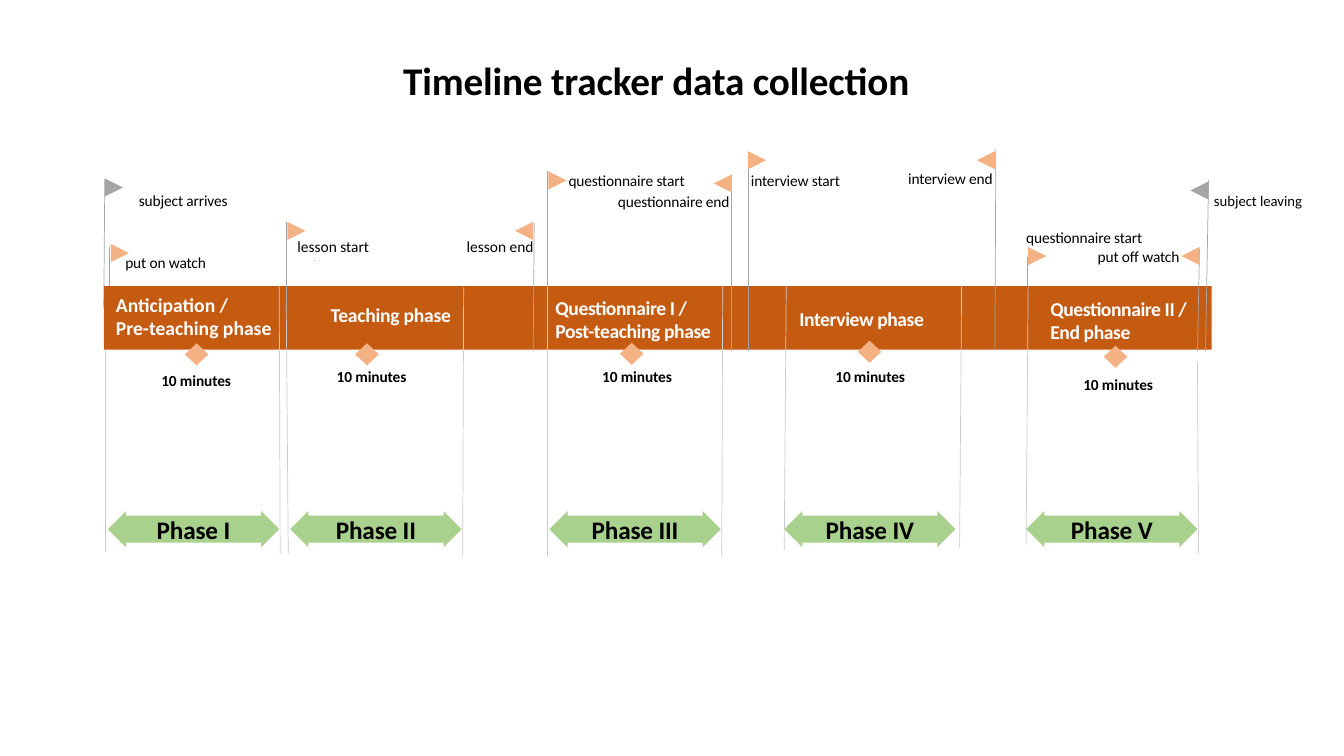
"""Build a one-slide timeline of a data collection in five phases."""
from lxml import etree
from pptx import Presentation
from pptx.dml.color import RGBColor
from pptx.enum.shapes import MSO_CONNECTOR, MSO_SHAPE
from pptx.enum.text import MSO_ANCHOR, MSO_AUTO_SIZE, PP_ALIGN
from pptx.oxml.ns import qn
from pptx.util import Inches, Pt

LEFT, CENTER = PP_ALIGN.LEFT, PP_ALIGN.CENTER
MIDDLE, NO_AUTOFIT = MSO_ANCHOR.MIDDLE, MSO_AUTO_SIZE.NONE
STRAIGHT = MSO_CONNECTOR.STRAIGHT
BAR, DIAMOND = MSO_SHAPE.RECTANGLE, MSO_SHAPE.DIAMOND
FLAG, SPAN = MSO_SHAPE.FLOWCHART_MERGE, MSO_SHAPE.LEFT_RIGHT_ARROW
RIGHTWARD, LEFTWARD = 270, 90

BLACK = RGBColor(0x00, 0x00, 0x00)
WHITE = RGBColor(0xFF, 0xFF, 0xFF)
RUST = RGBColor(0xC5, 0x5A, 0x11)
PEACH = RGBColor(0xF4, 0xB1, 0x83)
GREEN = RGBColor(0xA9, 0xD1, 0x8E)
GREY = RGBColor(0xA5, 0xA5, 0xA5)
PALE_GREY = RGBColor(0xCC, 0xCC, 0xCC)

COLUMNS, ROWS = 40, 30
LABEL_WIDTH, LABEL_HEIGHT = 3.8, 0.8
HEADING_WIDTH, HEADING_HEIGHT = 6, 2.2
FLAG_SIZE = (0.54, 0.72)
DIAMOND_SIZE = (0.7, 0.88)

BACK_POLES = [
    (3.27, 9.8, 3.27, 12.16), (9.36, 10.32, 9.36, 10.36), (3.12, 7.12, 3.09, 12.2),
]
BACK_GUIDES = [(3.15, 21.92, 3.15, 13.6)]
GUIDES = [
    (8.34, 22, 8.31, 11.36), (8.58, 22, 8.52, 11.96), (13.77, 22.08, 13.8, 11.4),
    (16.29, 22.08, 16.29, 11.36), (21.48, 22.08, 21.51, 11.36),
    (23.34, 21.84, 23.4, 11.36), (28.56, 21.72, 28.62, 11.36),
    (30.54, 21.64, 30.6, 11.36), (35.67, 21.96, 35.64, 14.36),
]
POLES = [
    (8.52, 8.8, 8.52, 12.24), (15.9, 8.84, 15.87, 13.92), (16.29, 6.8, 16.29, 11.36),
    (21.78, 6.96, 21.78, 13.92), (22.26, 6.04, 22.26, 13.92),
    (29.64, 5.88, 29.61, 13.92), (30.57, 10.2, 30.57, 11.36),
    (35.7, 9.88, 35.64, 13.92), (35.97, 7.16, 35.88, 13.92),
]
PHASES = [
    ("Phase I", 3.21, "Anticipation /\nPre-teaching phase", (3.45, 12.54), 0,
     (5.85, 14.06), (5.84, 15.1)),
    ("Phase II", 8.64, "Teaching phase", (9.84, 12.5), -0.2,
     (10.92, 14.06), (11.06, 14.94)),
    ("Phase III", 16.35, "Questionnaire I /\nPost-teaching phase", (16.53, 12.66), -0.3,
     (18.8, 14.04), (18.96, 14.94)),
    ("Phase IV", 23.34, "Interview phase", (23.79, 12.64), -0.3,
     (25.88, 13.96), (25.9, 14.94)),
    ("Phase V", 30.54, "Questionnaire II /\nEnd phase", (31.26, 12.7), -0.3,
     (33.2, 14.16), (33.28, 15.26)),
]
EVENTS = [
    ("subject arrives", (4.13, 7.94), 11, -0.1, (3.12, 7.08), RIGHTWARD, GREY),
    ("put on watch", (3.73, 10.42), 11, -0.1, (3.3, 9.68), RIGHTWARD, PEACH),
    ("lesson start", (8.85, 9.78), 11, 0, (8.55, 8.8), RIGHTWARD, PEACH),
    ("lesson end", (13.89, 9.78), 11, 0, (15.33, 8.8), LEFTWARD, PEACH),
    ("questionnaire start", (16.92, 7.14), 11, -0.1, (16.32, 6.8), RIGHTWARD, PEACH),
    ("questionnaire end", (18.39, 7.98), 11, -0.1, (21.24, 6.92), LEFTWARD, PEACH),
    ("interview start", (22.35, 7.14), 11, -0.1, (22.26, 6), RIGHTWARD, PEACH),
    ("interview end", (27.03, 7.06), 11, -0.1, (29.07, 6), LEFTWARD, PEACH),
    ("questionnaire start", (30.54, 9.42), 11, -0.1, (30.6, 9.8), RIGHTWARD, PEACH),
    ("put off watch", (32.67, 10.18), 11, -0.1, (35.16, 9.8), LEFTWARD, PEACH),
    ("subject leaving", (36.13, 7.96), 10.5, 0, (35.43, 7.2), LEFTWARD, GREY),
]


class TimelineSlide:
    """Hold the style and the current slide, with lengths in columns and rows."""

    font_name = "Calibri"

    def __init__(self, presentation):
        self.slide = presentation.slides.add_slide(presentation.slide_layouts[5])
        self.shapes = self.slide.shapes
        self.column = presentation.slide_width / COLUMNS
        self.row = presentation.slide_height / ROWS

    def place(self, *lengths):
        """Turn alternating columns and rows into slide units."""
        return [round(length * (self.row if index % 2 else self.column))
                for index, length in enumerate(lengths)]

    def style_text(self, shape, text, size, color, bold, spacing, alignment):
        """Set and format the text of a shape."""
        frame = shape.text_frame
        frame.text = text
        frame.word_wrap = True
        frame.auto_size = NO_AUTOFIT
        frame.vertical_anchor = MIDDLE
        frame.margin_left = frame.margin_right = 0
        frame.margin_top = frame.margin_bottom = 0
        for paragraph in frame.paragraphs:
            paragraph.alignment = alignment
            for run in paragraph.runs:
                run.font.name = self.font_name
                run.font.size = Pt(size)
                run.font.bold = bold
                run.font.color.rgb = color
                run.font._element.set("spc", str(round(spacing * 100)))

    def title(self, text, left, top, width, height):
        """Move and format the title placeholder."""
        title = self.shapes.title
        title.left, title.top, title.width, title.height = self.place(
            left, top, width, height)
        self.style_text(title, text, 28, BLACK, True, -0.1, CENTER)

    def text(self, text, left, middle, width, height, size,
             color=BLACK, bold=False, spacing=0, alignment=LEFT):
        """Add a text box centred on a row."""
        box = self.shapes.add_textbox(
            *self.place(left, middle - height / 2, width, height))
        self.style_text(box, text, size, color, bold, spacing, alignment)

    def shape(self, kind, left, top, width, height, color, rotation=0):
        """Add a plain filled shape."""
        shape = self.shapes.add_shape(kind, *self.place(left, top, width, height))
        shape.shadow.inherit = False
        shape.fill.solid()
        shape.fill.fore_color.rgb = color
        shape.line.fill.background()
        shape.rotation = rotation
        return shape

    def lines(self, ends, color):
        """Add thin straight lines."""
        for line_ends in ends:
            line = self.shapes.add_connector(STRAIGHT, *self.place(*line_ends))
            line.line.color.rgb = color
            line.line.width = Pt(0.5)
            etree.SubElement(line._element.spPr, qn("a:effectLst"))

    def phase(self, name, span_left, heading, heading_at, spacing, diamond_at, duration_at):
        """Add the heading, midpoint, duration and span of a phase."""
        self.text(heading, *heading_at, HEADING_WIDTH, HEADING_HEIGHT, 14,
                  WHITE, True, spacing)
        width, height = DIAMOND_SIZE
        center, middle = diamond_at
        self.shape(DIAMOND, center - width / 2, middle - height / 2, width, height, PEACH)
        center, middle = duration_at
        self.text("10 minutes", center - LABEL_WIDTH / 2, middle, LABEL_WIDTH,
                  LABEL_HEIGHT, 11, BLACK, True, -0.1, CENTER)
        span = self.shape(SPAN, span_left, 20.28, 5.1, 1.44, GREEN)
        span.adjustments[0], span.adjustments[1] = 0.75, 0.5
        self.style_text(span, name, 18, BLACK, True, -0.1, CENTER)

    def event(self, label, label_at, size, spacing, flag_at, direction, color):
        """Add a flag with its label."""
        self.shape(FLAG, *flag_at, *FLAG_SIZE, color, direction)
        self.text(label, *label_at, LABEL_WIDTH, LABEL_HEIGHT, size, spacing=spacing)


presentation = Presentation()
presentation.slide_width = Inches(13.33)
presentation.slide_height = Inches(7.5)
timeline = TimelineSlide(presentation)
timeline.title("Timeline tracker data collection", 9.42, 2.04, 20.22, 2.28)
timeline.lines(BACK_POLES, GREY)
timeline.lines(BACK_GUIDES, PALE_GREY)
timeline.shape(BAR, 3.09, 11.36, 32.97, 2.52, RUST)
for phase in PHASES:
    timeline.phase(*phase)
timeline.lines(GUIDES, PALE_GREY)
timeline.lines(POLES, GREY)
for event in EVENTS:
    timeline.event(*event)
presentation.save("out.pptx")
